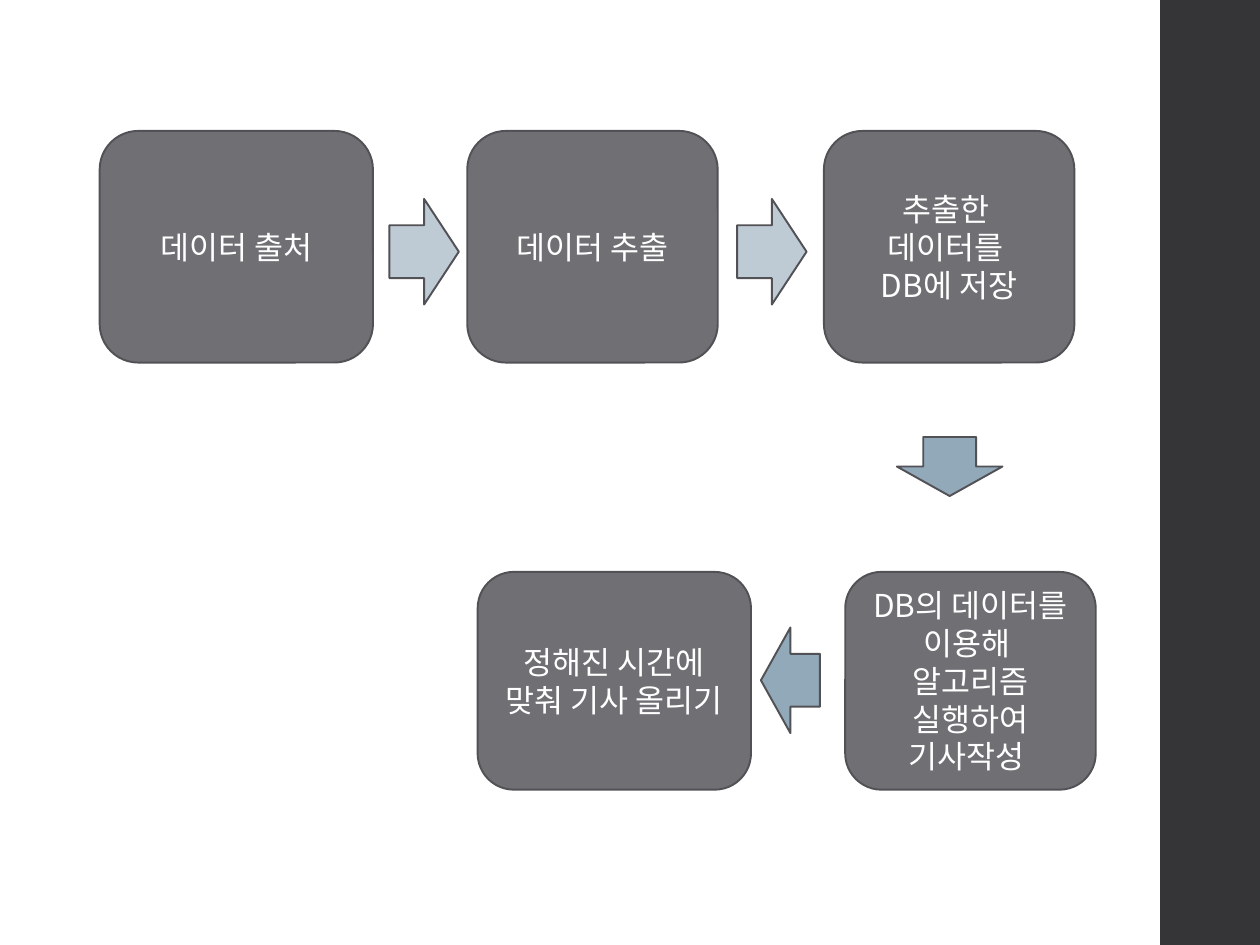
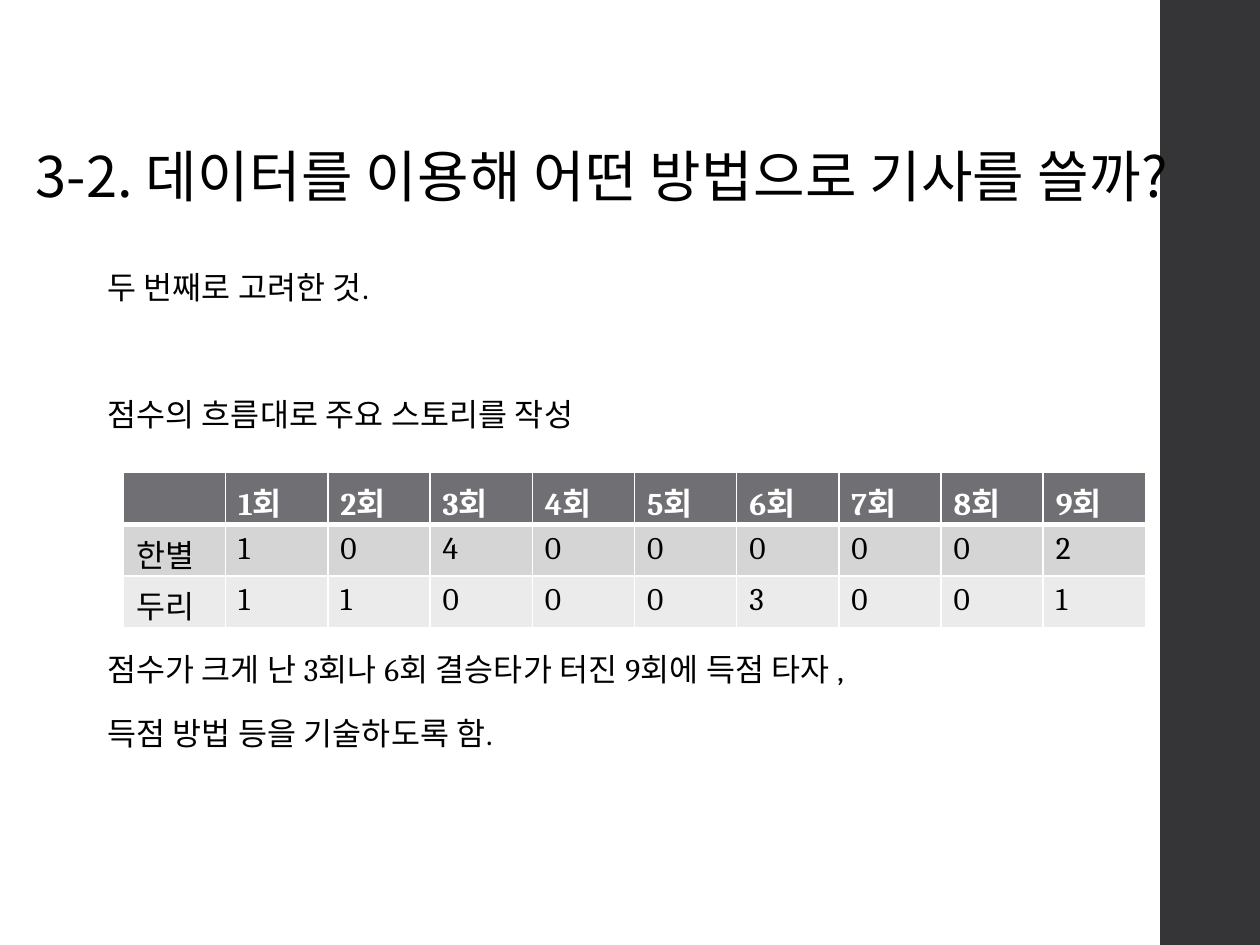
from lxml import etree
from pptx import Presentation
from pptx import util as u
from pptx.dml.color import RGBColor
from pptx.enum import shapes, text
from pptx.oxml.ns import qn

SANS, SERIF = "Noto Sans CJK KR", "Cambria"
WHITE, BLACK, GREY, OUTLINE, BAND = "FFFFFF", "000000", "6F6F74", "525256", "353537"
PALE_BLUE, BLUE = "BECBD5", "92A9B9"
ROW_FILLS = [GREY, "D5D5D6", "EBEBEB"]
KIND = shapes.MSO_SHAPE


def colour(value):
    return RGBColor.from_string(value)


class Pages:
    """Holds the deck, its style and the current slide."""

    def __init__(self):
        self.deck = Presentation()
        self.deck.slide_width, self.deck.slide_height = u.Cm(25.4), u.Cm(19.05)
        self.page = None

    def new_page(self):
        self.page = self.deck.slides.add_slide(self.deck.slide_layouts[6])
        self.shape(KIND.RECTANGLE, 23.39, 0, 2.01, 19.05, BAND)

    def shape(self, kind, left, top, width, height, fill, line=None):
        shape = self.page.shapes.add_shape(
            kind, u.Cm(left), u.Cm(top), u.Cm(width), u.Cm(height))
        shape.shadow.inherit = False
        shape.fill.solid()
        shape.fill.fore_color.rgb = colour(fill)
        if line:
            shape.line.color.rgb = colour(line)
            shape.line.width = u.Pt(1.1)
        else:
            shape.line.fill.background()
        return shape

    def style(self, para, font, size, ink, bold=False, tracking=None):
        for span in para.runs:
            span.font.name, span.font.size, span.font.bold = font, u.Pt(size), bold
            span.font.color.rgb = colour(ink)
            if tracking:
                span.font._element.set("spc", str(tracking))

    def step(self, left, top, width, height, words):
        box = self.shape(KIND.ROUNDED_RECTANGLE, left, top, width, height, GREY, OUTLINE)
        frame = box.text_frame
        frame.word_wrap = True
        frame.vertical_anchor = text.MSO_ANCHOR.MIDDLE
        frame.text = words
        for para in frame.paragraphs:
            para.alignment = text.PP_ALIGN.CENTER
            self.style(para, SANS, 18, WHITE)

    def text_box(self, left, top, width, height, lines, font, size):
        """Each line is a pair: its words and the space before it in points."""
        box = self.page.shapes.add_textbox(
            u.Cm(left), u.Cm(top), u.Cm(width), u.Cm(height))
        frame = box.text_frame
        frame.word_wrap = True
        frame.text = "\n".join(words for words, _ in lines)
        for para, (_, before) in zip(frame.paragraphs, lines):
            para.line_spacing = 0.95
            para.space_before, para.space_after = u.Pt(before), u.Pt(2)
            self.style(para, font, size, BLACK, tracking=10)

    def border(self, cell, side, points):
        line = etree.SubElement(cell._tc.get_or_add_tcPr(), qn(f"a:ln{side}"),
                                w=str(u.Pt(points)))
        fill = etree.SubElement(line, qn("a:solidFill"))
        etree.SubElement(fill, qn("a:srgbClr"), val=WHITE)

    def table(self, left, top, column_width, row_height, rows):
        columns = len(rows[0])
        table = self.page.shapes.add_table(
            len(rows), columns, u.Cm(left), u.Cm(top),
            u.Cm(column_width * columns), u.Cm(row_height * len(rows))).table
        for r, values in enumerate(rows):
            for c, value in enumerate(values):
                cell = table.cell(r, c)
                cell.text = value
                header = r == 0
                self.style(cell.text_frame.paragraphs[0], SERIF, 18,
                           WHITE if header else BLACK, bold=header)
                for side in "LRTB":
                    heavy = (r, side) in [(0, "B"), (1, "T")]
                    self.border(cell, side, 3 if heavy else 1)
                cell.fill.solid()
                cell.fill.fore_color.rgb = colour(ROW_FILLS[r])


def workflow(pages):
    pages.new_page()

    # Steps, in reading order
    upper, lower = (2.64, 4.67), (11.53, 4.39)
    for left, (top, height), width, words in [
        (2.01, upper, 5.51, "데이터 출처"),
        (9.42, upper, 5.05, "데이터 추출"),
        (16.61, upper, 5.05, "추출한 \n데이터를 \nDB에 저장"),
        (17.04, lower, 5.05, "DB의 데이터를 이용해 \n알고리즘 실행하여 기사작성 "),
        (9.63, lower, 5.51, "정해진 시간에 맞춰 기사 올리기"),
    ]:
        pages.step(left, top, width, height, words)

    # Arrows between the steps
    for kind, left, top, width, height, fill in [
        (KIND.RIGHT_ARROW, 7.85, 4.01, 1.4, 2.13, PALE_BLUE),
        (KIND.RIGHT_ARROW, 14.86, 4.01, 1.4, 2.13, PALE_BLUE),
        (KIND.DOWN_ARROW, 18.08, 8.81, 2.13, 1.19, BLUE),
        (KIND.LEFT_ARROW, 15.34, 12.65, 1.19, 2.13, BLUE),
    ]:
        pages.shape(kind, left, top, width, height, fill, OUTLINE)


def score_flow(pages):
    pages.new_page()

    # Body, with room for the table before its third line
    pages.text_box(1.91, 5.33, 18.31, 12.5, [
        ("두 번째로 고려한 것.", 0),
        ("점수의 흐름대로 주요 스토리를 작성", 50.4),
        ("점수가 크게 난 3회나 6회 결승타가 터진 9회에 득점 타자 ,", 123.2),
        ("득점 방법 등을 기술하도록 함.", 14),
    ], SERIF, 18)

    # Title
    pages.text_box(0.46, 2.82, 22.86, 3.28, [
        ("3-2. 데이터를 이용해 어떤 방법으로 기사를 쓸까?", 0)], SANS, 32)

    # Runs per inning
    pages.table(2.49, 9.53, 2.06, 1.04, [
        ["", *(f"{inning}회" for inning in range(1, 10))],
        ["한별", *"104000002"],
        ["두리", *"110003001"],
    ])


def main():
    pages = Pages()
    workflow(pages)
    score_flow(pages)
    pages.deck.save("out.pptx")


if __name__ == "__main__":
    main()
